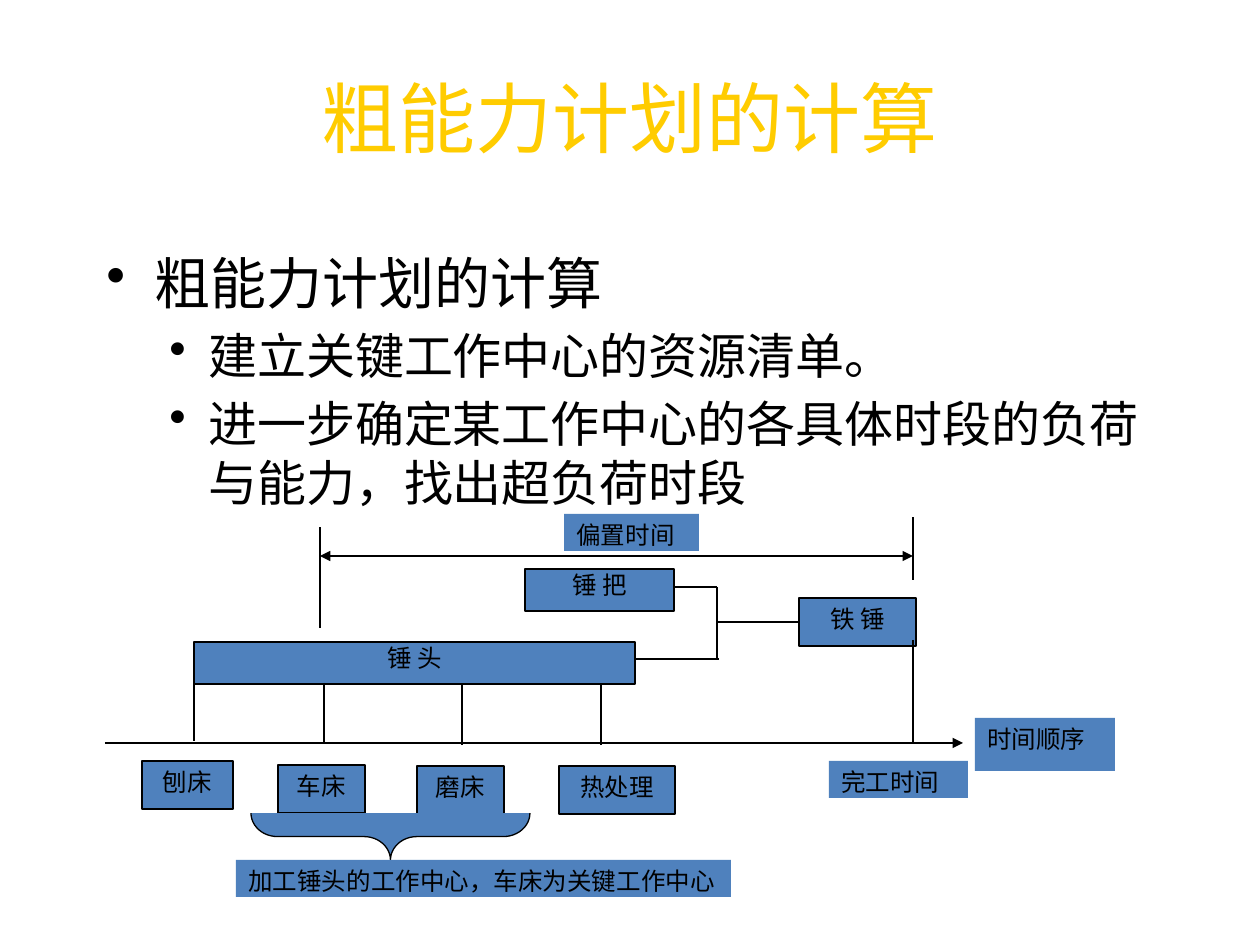
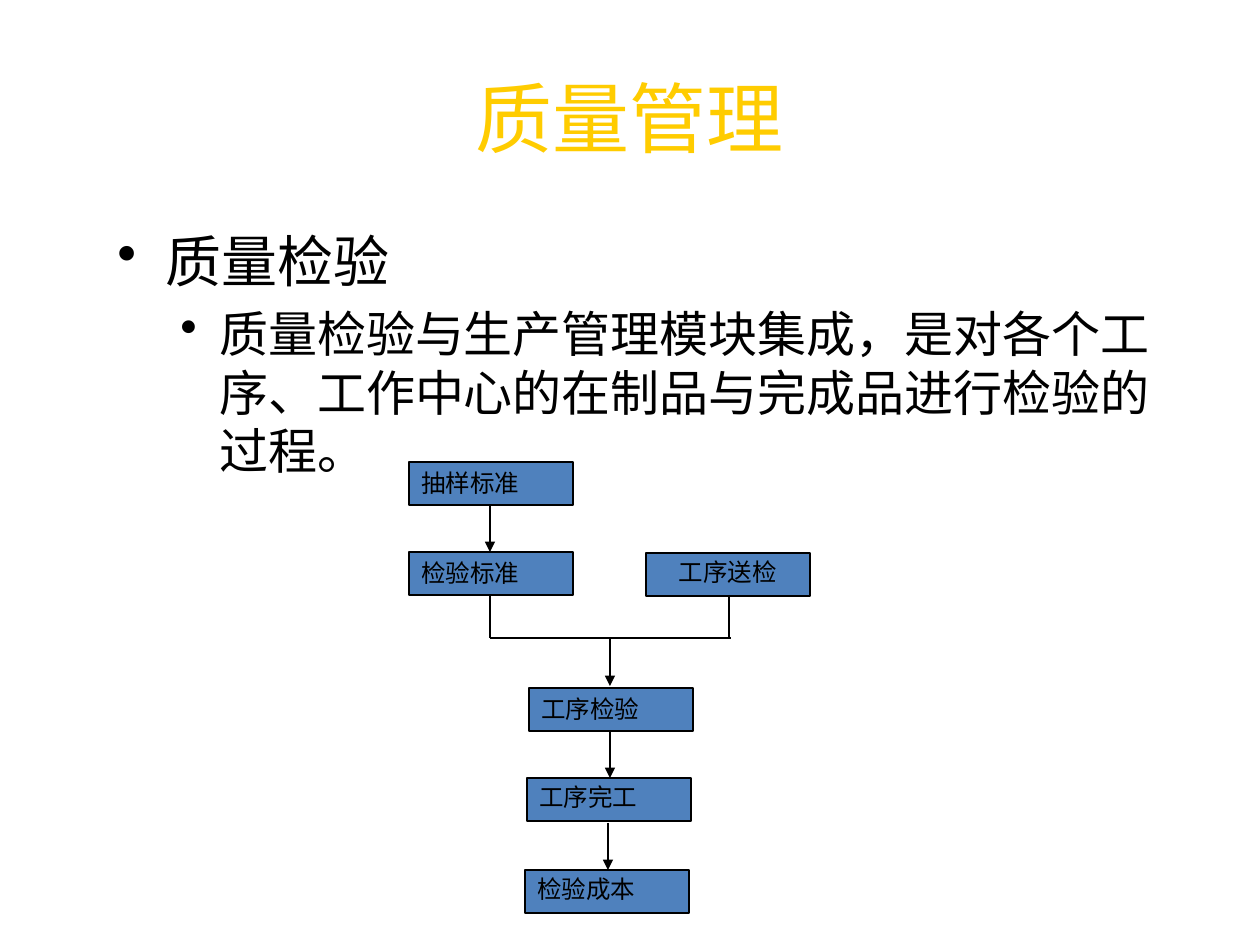
from lxml import etree
from pptx import Presentation
from pptx import util as u
from pptx.dml.color import RGBColor
from pptx.enum import shapes, text
from pptx.oxml.ns import qn

PX = 914400 / 126
GOLD, BLUE, BLACK = "FFCC00", "4F81BD", "000000"
NOTO, SANS, SERIF = "Noto Sans CJK SC", "Calibri", "Times New Roman"
LEFT, MID, JUST = text.PP_ALIGN.LEFT, text.PP_ALIGN.CENTER, text.PP_ALIGN.JUSTIFY
LEVELS = [dict(size=32, left=48, hang=48), dict(size=28, left=102, hang=39)]


def px(*vals):
    return [u.Emu(round(v * PX)) for v in vals]


def paint(target, color):
    target.rgb = RGBColor.from_string(color)


def apply(obj, **style):
    for key, val in style.items():
        setattr(obj, key, val)


def add_run(para, words, size, font, color=BLACK):
    run = para.add_run()
    run.text = words
    apply(run.font, size=u.Pt(size), name=font)
    paint(run.font.color, color)


# Text shared by both slides
def add_frame(slide, *area):
    frame = slide.shapes.add_textbox(*px(*area)).text_frame
    frame.word_wrap = True
    return frame


def add_title(slide, *runs):
    frame = add_frame(slide, 63, 38, 1134, 157)
    frame.vertical_anchor = text.MSO_ANCHOR.MIDDLE
    para = frame.paragraphs[0]
    para.alignment = MID
    for words, font in runs:
        add_run(para, words, 44, font, GOLD)


def add_body(slide, left, top, items):
    frame = add_frame(slide, left, top, 1071, 567)
    for num, (level, words, font) in enumerate(items):
        para = frame.paragraphs[0] if num == 0 else frame.add_paragraph()
        look = LEVELS[level]
        para.level = level
        props = para._p.get_or_add_pPr()
        left_in, hang = px(look["left"], look["hang"])
        props.set("marL", str(left_in))
        props.set("indent", str(-hang))
        etree.SubElement(props, qn("a:buChar")).set("char", "•")
        if num:
            para.space_before = u.Pt(look["size"] * 0.2)
        add_run(para, words, look["size"], font)


# Diagram parts
def add_form(slide, kind, area, line):
    form = slide.shapes.add_shape(kind, *px(*area))
    form.shadow.inherit = False
    form.fill.solid()
    paint(form.fill.fore_color, BLUE)
    if line:
        form.line.width = u.Pt(line)
        paint(form.line.color, BLACK)
    else:
        form.line.fill.background()
    return form


def add_box(slide, words, area, line=0.75, font=SANS, align=MID, pad=None, **style):
    frame = add_form(slide, shapes.MSO_SHAPE.RECTANGLE, area, line).text_frame
    apply(frame, word_wrap=True, vertical_anchor=text.MSO_ANCHOR.TOP)
    if pad:
        wide, high = px(*pad)
        apply(frame, margin_left=wide, margin_right=wide,
              margin_top=high, margin_bottom=high)
    para = frame.paragraphs[0]
    apply(para, alignment=align, **style)
    add_run(para, words, 14, font)


def add_line(slide, x1, y1, x2, y2, *ends):
    link = slide.shapes.add_connector(
        shapes.MSO_CONNECTOR.STRAIGHT, *px(x1, y1, x2, y2))
    link.line.width = u.Pt(0.75)
    paint(link.line.color, BLACK)
    stroke = link.line._get_or_add_ln()
    for end in ends:
        etree.SubElement(stroke, qn(f"a:{end}")).set("type", "triangle")
    etree.SubElement(link._element.spPr, qn("a:effectLst"))


def draw_plan(slide):
    add_title(slide, ("粗能力计划的计算", NOTO))
    add_body(slide, 94, 242, [
        (0, "粗能力计划的计算", NOTO),
        (1, "建立关键工作中心的资源清单。", SANS),
        (1, "进一步确定某工作中心的各具体时段的负荷与能力，找出超负荷时段", SANS),
    ])

    # Product parts
    add_box(slide, "铁 锤", (799, 598, 117, 48), 1.5)
    for words, area in [("锤 把", (525, 569, 149, 42)), ("锤 头", (194, 642, 441, 42))]:
        add_box(slide, words, area, 1.5, pad=(3, 1))

    # Work centres
    for words, left, top, width in [("刨床", 142, 761, 91), ("车床", 278, 765, 87),
                                    ("磨床", 417, 766, 87), ("热处理", 559, 766, 116)]:
        add_box(slide, words, (left, top, width, 48))

    # Brace under the work centres
    brace = add_form(slide, shapes.MSO_SHAPE.LEFT_BRACE, (367, 697, 47, 279), 0.75)
    brace.rotation = 270
    brace.adjustments[0] = 0.565
    brace.adjustments[1] = 0.5

    # Plain labels
    for words, area, font in [
        ("时间顺序", (975, 718, 140, 53), SERIF),
        ("加工锤头的工作中心，车床为关键工作中心", (236, 860, 495, 37), SANS),
        ("完工时间", (829, 761, 139, 37), SANS),
        ("偏置时间", (564, 514, 135, 37), SANS),
    ]:
        add_box(slide, words, area, None, font, JUST)

    # Time axis and its ticks
    add_line(slide, 105, 743, 963, 743, "tailEnd")
    for x, top, low in [(194, 680, 741), (324, 683, 743), (462, 684, 745),
                        (601, 684, 745), (913, 640, 742)]:
        add_line(slide, x, top, x, low)

    # Assembly links
    for ends in [(673, 587, 717, 587), (636, 659, 719, 659),
                 (717, 587, 717, 660), (717, 622, 800, 622)]:
        add_line(slide, *ends)

    # Offset time span
    add_line(slide, 320, 628, 320, 527)
    add_line(slide, 913, 580, 913, 517)
    add_line(slide, 320, 556, 913, 556, "headEnd", "tailEnd")


def draw_checks(slide):
    add_title(slide, ("质量", SANS), ("管理", NOTO))
    add_body(slide, 105, 220, [
        (0, "质量检验", SANS),
        (1, "质量检验与生产管理模块集成，是对各个工序、工作中心的在制品与完成品进行检验的过程。", SANS),
    ])

    # Steps
    for words, left, top, align, pitch in [
        ("工序送检", 646, 553, MID, 0.96), ("抽样标准", 409, 462, LEFT, 1.0),
        ("检验标准", 409, 552, LEFT, 1.0), ("工序检验", 529, 688, LEFT, 1.0),
        ("工序完工", 527, 778, LEFT, 0.96), ("检验成本", 525, 870, LEFT, 0.96),
    ]:
        add_box(slide, words, (left, top, 164, 43), font=SERIF, align=align,
                line_spacing=pitch)

    # Flow arrows and the merging bracket
    for x, top, low in [(490, 506, 552), (610, 638, 686), (610, 731, 778), (608, 823, 870)]:
        add_line(slide, x, top, x, low, "tailEnd")
    for x in (490, 729):
        add_line(slide, x, 595, x, 638)
    add_line(slide, 490, 638, 731, 638)


def main():
    deck = Presentation()
    deck.slide_width, deck.slide_height = px(1260, 945)
    for draw in (draw_plan, draw_checks):
        draw(deck.slides.add_slide(deck.slide_layouts[6]))
    deck.save("out.pptx")


if __name__ == "__main__":
    main()
